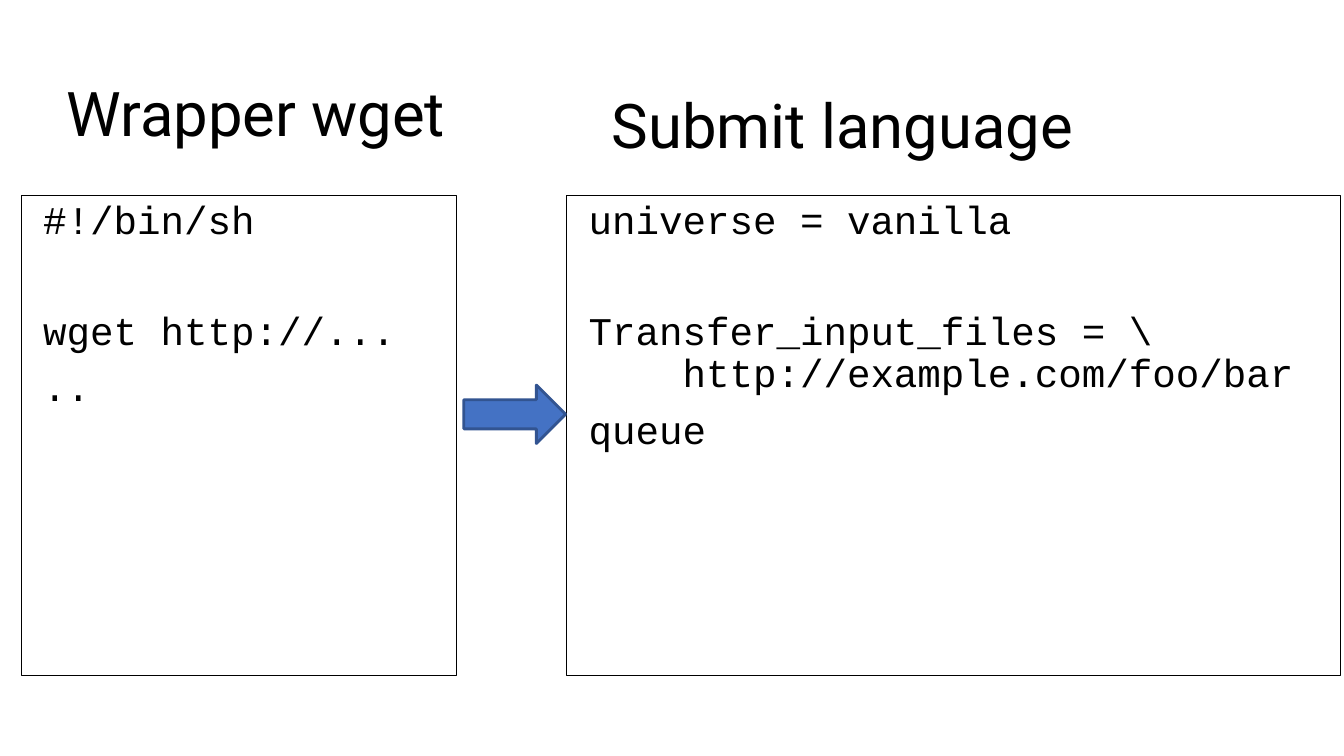
"""Build the slide that turns a wget wrapper script into submit language."""
from pptx import Presentation
from pptx.dml.color import RGBColor
from pptx.enum.shapes import MSO_SHAPE
from pptx.enum.text import MSO_ANCHOR
from pptx.util import Inches, Pt

RIGHT_ARROW = MSO_SHAPE.RIGHT_ARROW
TOP, MIDDLE = MSO_ANCHOR.TOP, MSO_ANCHOR.MIDDLE

BLACK, ARROW_FILL, ARROW_EDGE = "000000", "4472C4", "325491"
HEADING_FONT = {"name": "Roboto", "size": Pt(44)}
CODE_FONT = {"name": "Courier New", "size": Pt(28)}
STEP_GAP, SECTION_GAP = 10, 49
CODE_TOP, CODE_HEIGHT, CODE_INDENT = 1.94, 4.76, 0.12

HEADINGS = [
    ("Wrapper wget", (0.56, 0.43, 5.67, 1.45)),
    ("Submit language", (5.97, 0.55, 7.05, 1.45)),
]
LISTINGS = [
    (0.21, 4.32, [
        ("#!/bin/sh", 0),
        ("wget http://...", SECTION_GAP),
        ("..", STEP_GAP),
    ]),
    (5.62, 7.68, [
        ("universe = vanilla", 0),
        ("Transfer_input_files = \\\v    http://example.com/foo/bar", SECTION_GAP),
        ("queue", STEP_GAP),
    ]),
]
ARROW_PLACE = (4.6, 3.82, 1.01, 0.58)


def color(hex_value):
    return RGBColor.from_string(hex_value)


def outline(shape, hex_value, width):
    shape.line.color.rgb = color(hex_value)
    shape.line.width = Pt(width)


def add_text(slide, place, lines, font, anchor, indent=0):
    box = slide.shapes.add_textbox(*map(Inches, place))
    frame = box.text_frame
    frame.word_wrap = True
    frame.vertical_anchor = anchor
    for index, (text, gap) in enumerate(lines):
        paragraph = frame.add_paragraph() if index else frame.paragraphs[0]
        paragraph.text = text
        paragraph.line_spacing = 0.9
        paragraph.space_before = Pt(gap)
        paragraph._p.get_or_add_pPr().set("marL", str(Inches(indent)))
        for run in paragraph.runs:
            run.font.color.rgb = color(BLACK)
            for attribute, value in font.items():
                setattr(run.font, attribute, value)
    return box


def main():
    deck = Presentation()
    deck.slide_width, deck.slide_height = Inches(13.33), Inches(7.5)
    slide = deck.slides.add_slide(deck.slide_layouts[6])

    for heading, place in HEADINGS:
        add_text(slide, place, [(heading, 0)], HEADING_FONT, MIDDLE)

    for left, width, lines in LISTINGS:
        place = (left, CODE_TOP, width, CODE_HEIGHT)
        listing = add_text(slide, place, lines, CODE_FONT, TOP, CODE_INDENT)
        outline(listing, BLACK, 0.75)

    arrow = slide.shapes.add_shape(RIGHT_ARROW, *map(Inches, ARROW_PLACE))
    arrow.shadow.inherit = False
    arrow.fill.solid()
    arrow.fill.fore_color.rgb = color(ARROW_FILL)
    outline(arrow, ARROW_EDGE, 2)

    deck.save("out.pptx")


if __name__ == "__main__":
    main()
